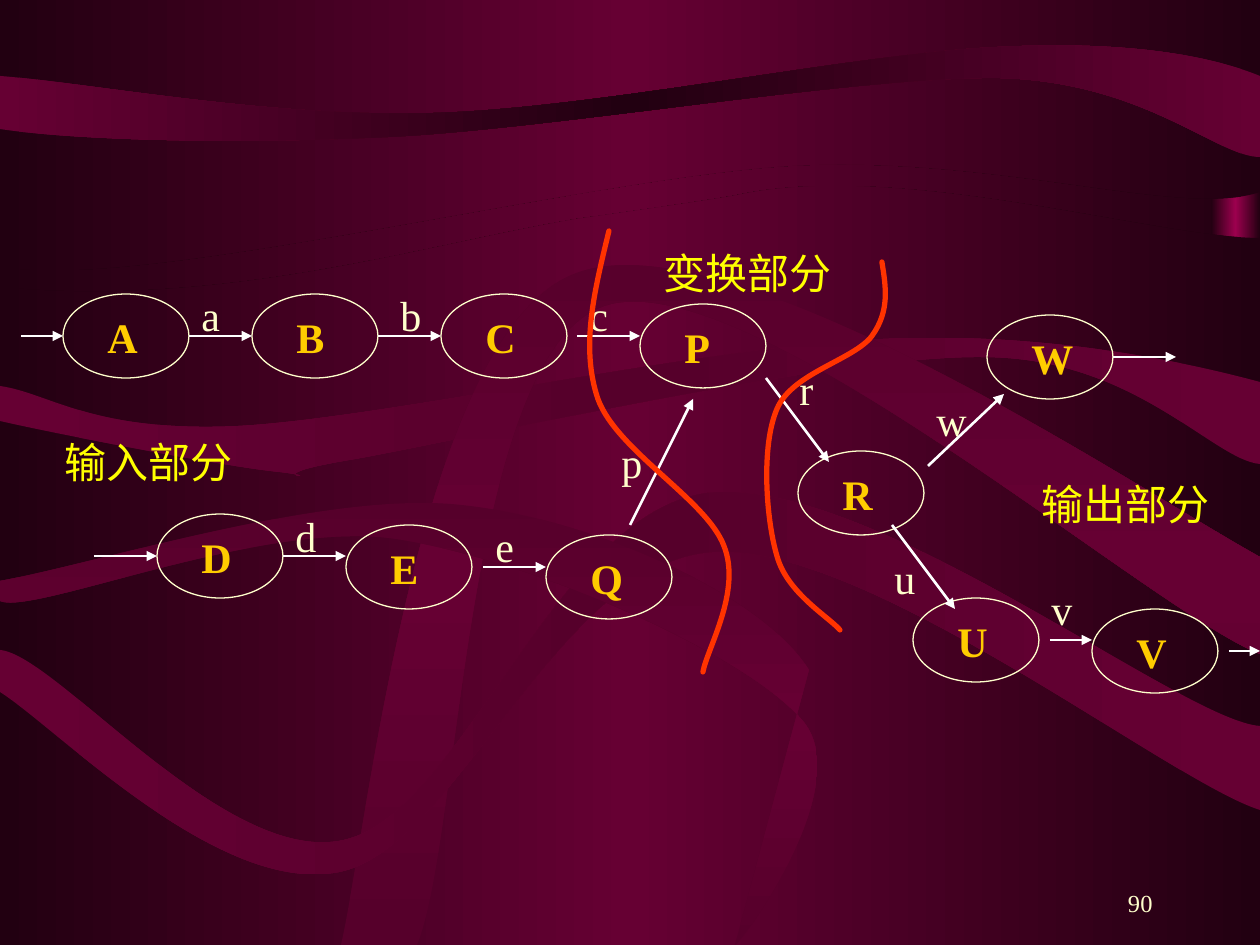
"""Build the data flow slide with its input, transform and output parts."""
from copy import deepcopy
from dataclasses import dataclass

from pptx import Presentation
from pptx.dml.color import RGBColor
from pptx.enum.shapes import MSO_CONNECTOR, MSO_SHAPE
from pptx.enum.text import MSO_ANCHOR, MSO_AUTO_SIZE, PP_ALIGN
from pptx.oxml.ns import qn
from pptx.util import Emu, Pt
from lxml.etree import SubElement

SCALE = 914400 / 126


def px(n):
    return Emu(round(n * SCALE))


@dataclass(frozen=True)
class Theme:
    font: str = "Times New Roman"
    dark: str = "220011"
    wine: str = "660033"
    plum: str = "56002B"
    rose: str = "9C004E"
    cream: str = "FFFFCC"
    gold: str = "FFCC00"
    lemon: str = "FFFF00"
    white: str = "FFFFFF"
    red: str = "FF3300"
    size: int = 24
    small: int = 14


class Deck:
    def __init__(self, theme):
        self.theme = theme
        self.prs = Presentation()
        self.prs.slide_width, self.prs.slide_height = px(1260), px(945)
        self.slide = self.prs.slides.add_slide(self.prs.slide_layouts[6])
        self.shapes = self.slide.shapes

    def shade(self, fill, root, edge, mid, angle=0):
        fill.gradient()
        fill.gradient_angle = angle
        stops = root.find(".//" + qn("a:gsLst"))
        stops.append(deepcopy(stops[-1]))
        for stop, place, tone in zip(fill.gradient_stops, (0, 0.5, 1), (edge, mid, edge)):
            stop.position = place
            stop.color.rgb = RGBColor.from_string(tone)

    def back(self, edge, mid):
        self.shade(self.slide.background.fill, self.slide.element, edge, mid)

    def bar(self, x, y, w, h, edge, mid):
        shape = self.shapes.add_shape(MSO_SHAPE.RECTANGLE, px(x), px(y), px(w), px(h))
        shape.shadow.inherit = False
        shape.line.fill.background()
        self.shade(shape.fill, shape.element, edge, mid)

    def trace(self, steps, close):
        start, *rest = steps
        pen = self.shapes.build_freeform(*map(px, start))
        dots = [(px(s[i]), px(s[i + 1])) for s in rest for i in range(0, len(s), 2)]
        pen.add_line_segments(dots, close=close)
        shape = pen.convert_to_shape()
        shape.shadow.inherit = False
        way = shape.element.find(".//" + qn("a:path"))
        lines = iter(way.findall(qn("a:lnTo")))
        for step in rest:
            curve = next(lines)
            if len(step) == 6:
                curve.tag = qn("a:cubicBezTo")
                for extra in (next(lines), next(lines)):
                    curve.append(extra[0])
                    way.remove(extra)
        return shape

    def ribbon(self, edge, mid, angle, *steps):
        shape = self.trace(steps, True)
        shape.line.fill.background()
        self.shade(shape.fill, shape.element, edge, mid, angle)

    def border(self, *steps):
        shape = self.trace(steps, False)
        shape.fill.background()
        shape.line.color.rgb = RGBColor.from_string(self.theme.red)
        shape.line.width = Pt(3)
        shape.element.spPr.find(qn("a:ln")).set("cap", "rnd")

    def text(self, words, x, y, w, color, bold=False):
        box = self.shapes.add_textbox(px(x), px(y), px(w), px(63))
        frame = box.text_frame
        frame.word_wrap = True
        frame.auto_size = MSO_AUTO_SIZE.SHAPE_TO_FIT_TEXT
        line = frame.paragraphs[0]
        line.text = words
        line.font.name, line.font.size = self.theme.font, Pt(self.theme.size)
        line.font.bold = bold
        line.font.color.rgb = RGBColor.from_string(color)
        return frame

    def page(self, words, x, y, w):
        frame = self.text(words, x, y, w, self.theme.cream)
        frame.auto_size = MSO_AUTO_SIZE.NONE
        frame.vertical_anchor = MSO_ANCHOR.BOTTOM
        frame.paragraphs[0].alignment = PP_ALIGN.RIGHT
        frame.paragraphs[0].font.size = Pt(self.theme.small)

    def node(self, name, x, y):
        oval = self.shapes.add_shape(MSO_SHAPE.OVAL, px(x), px(y), px(126), px(84))
        oval.shadow.inherit = False
        oval.fill.background()
        oval.line.color.rgb = RGBColor.from_string(self.theme.cream)
        oval.line.width = Pt(0.75)
        self.text(name, x + 32, y + 11, 63, self.theme.gold, True)

    def arrow(self, *ends):
        line = self.shapes.add_connector(MSO_CONNECTOR.STRAIGHT, *map(px, ends))
        line.line.color.rgb = RGBColor.from_string(self.theme.white)
        line.line.width = Pt(1.5)
        props = line.element.spPr
        SubElement(props.find(qn("a:ln")), qn("a:tailEnd"), type="triangle")
        SubElement(props, qn("a:effectLst"))


def main():
    look = Theme()
    deck = Deck(look)
    dark, wine, plum = look.dark, look.wine, look.plum

    deck.back(dark, wine)
    deck.bar(1211, 62, 49, 435, dark, look.rose)
    deck.ribbon(dark, wine, 0, (0, 0), (1260, 0), (1260, 192),
                (1182, 219, 998, 154, 788, 166), (578, 179, 131, 294, 0, 266))
    deck.ribbon(dark, wine, 0, (0, 287), (224, 309, 428, 244, 577, 219),
                (577, 219, 714, 200, 738, 195), (901, 160, 1155, 238, 1260, 238),
                (1260, 945), (0, 945))
    deck.ribbon(wine, dark, 0, (0, 76), (0, 129), (64, 139, 222, 145, 388, 137),
                (554, 129, 856, 76, 1000, 78), (1145, 82, 1217, 157, 1260, 157),
                (1260, 76), (1216, 58, 1135, 40, 998, 47),
                (859, 53, 601, 108, 435, 113), (268, 118, 91, 83, 0, 76))
    deck.ribbon(wine, plum, 0, (0, 386), (0, 421), (47, 432, 220, 466, 280, 472),
                (339, 479, 239, 478, 355, 459), (472, 438, 832, 355, 983, 357),
                (1134, 357, 1213, 460, 1260, 464), (1260, 382),
                (1197, 365, 1053, 331, 883, 339), (713, 345, 387, 418, 239, 426),
                (92, 433, 50, 393, 0, 386))
    deck.ribbon(plum, wine, 270, (341, 945), (367, 833, 418, 339, 572, 275),
                (724, 209, 1145, 494, 1260, 557), (1260, 654),
                (1150, 611, 745, 258, 604, 306), (464, 355, 461, 839, 417, 945))
    deck.ribbon(wine, plum, 0, (0, 650), (0, 692), (57, 728, 219, 896, 339, 872),
                (457, 849, 558, 562, 712, 552), (866, 541, 1168, 781, 1260, 810),
                (1260, 726), (1182, 721, 871, 475, 708, 493),
                (556, 512, 462, 814, 344, 840), (226, 867, 57, 655, 0, 650))
    deck.ribbon(plum, wine, 270, (0, 581), (0, 601), (33, 616, 262, 519, 396, 539),
                (529, 559, 746, 653, 803, 721), (859, 788, 733, 954, 735, 945),
                (809, 670), (764, 597, 596, 519, 461, 505), (326, 490, 96, 564, 0, 581))

    deck.page("90", 903, 861, 262)
    for name, x, y in (("A", 63, 294), ("B", 252, 294), ("C", 441, 294), ("P", 640, 304),
                       ("R", 798, 451), ("W", 987, 315), ("U", 913, 598), ("V", 1092, 609),
                       ("D", 157, 514), ("E", 346, 525), ("Q", 546, 535)):
        deck.node(name, x, y)
    for ends in ((21, 336, 63, 336), (189, 336, 252, 336), (378, 336, 441, 336),
                 (577, 336, 640, 336), (94, 556, 157, 556), (283, 556, 346, 556),
                 (483, 567, 546, 567), (630, 525, 693, 399), (1050, 640, 1092, 640),
                 (766, 378, 829, 462), (928, 466, 1004, 394), (892, 525, 955, 609),
                 (1229, 651, 1260, 651), (1113, 357, 1176, 357)):
        deck.arrow(*ends)
    for flow, x, y in (("a", 189, 283), ("b", 388, 283), ("c", 577, 283), ("d", 283, 504),
                       ("e", 483, 514), ("p", 609, 430), ("r", 787, 357), ("w", 924, 388),
                       ("u", 882, 546), ("v", 1039, 577)):
        deck.text(flow, x, y, 53, look.cream)
    for part, x, y in (("输入部分", 52, 430), ("输出部分", 1029, 472), ("变换部分", 651, 241)):
        deck.text(part, x, y, 210, look.lemon)
    deck.border((609, 231), (595, 289, 580, 346, 598, 399),
                (617, 451, 707, 500, 724, 546), (742, 591, 707, 649, 703, 672))
    deck.border((882, 262), (886, 287, 890, 311, 872, 336), (854, 360, 792, 373, 777, 409),
                (761, 446, 766, 519, 777, 556), (787, 593, 829, 617, 840, 630))
    deck.prs.save("out.pptx")


if __name__ == "__main__":
    main()
